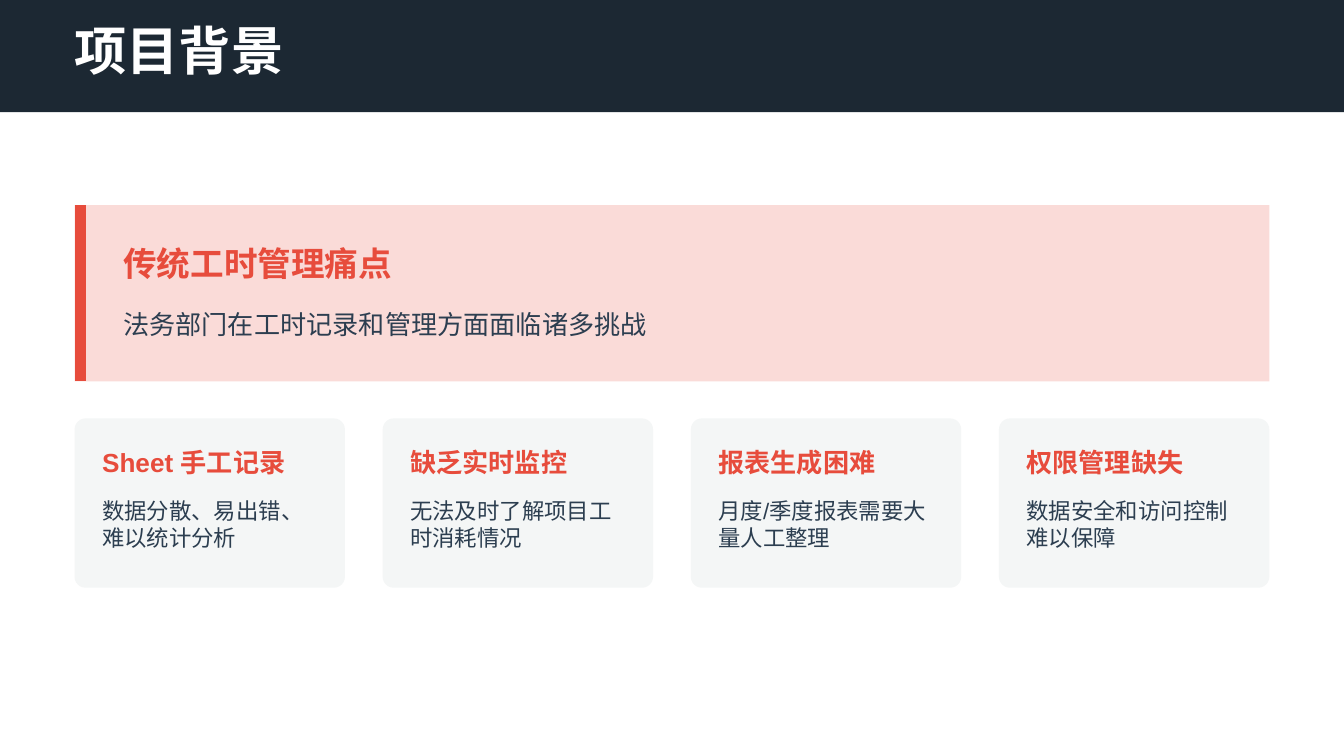
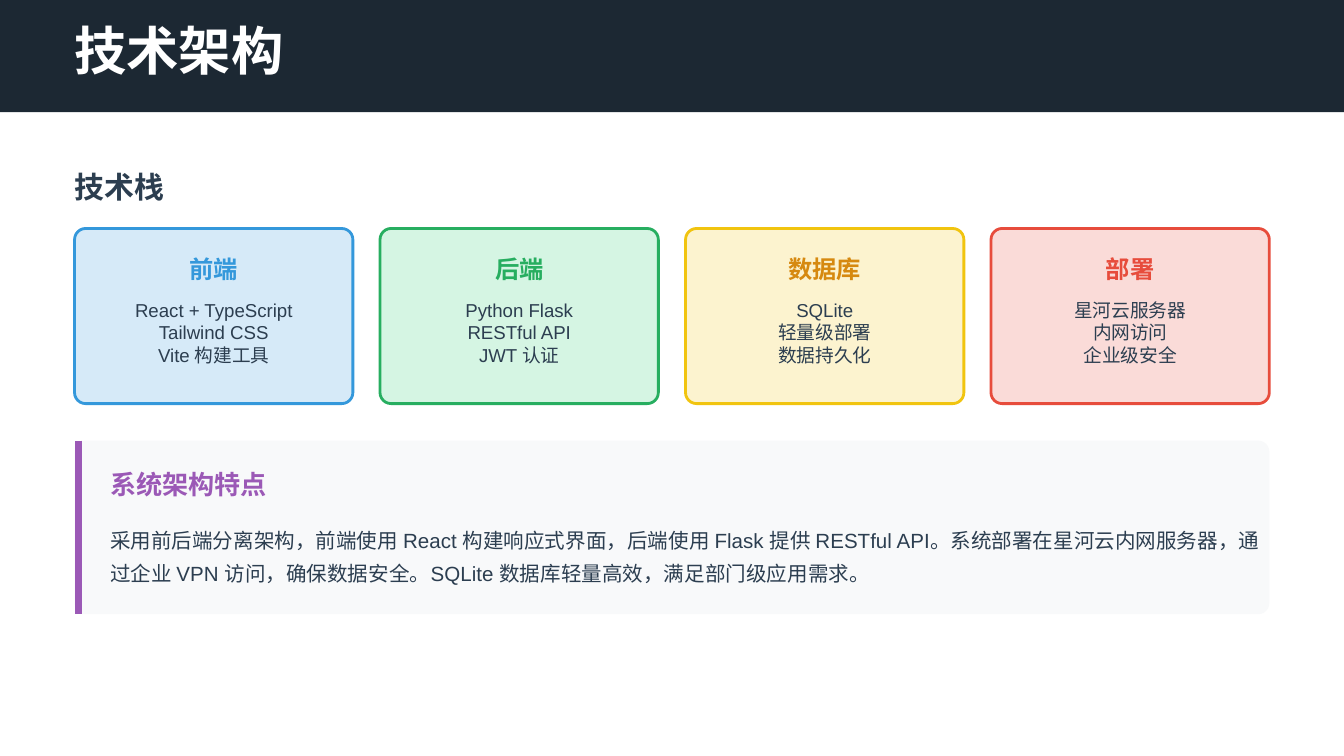
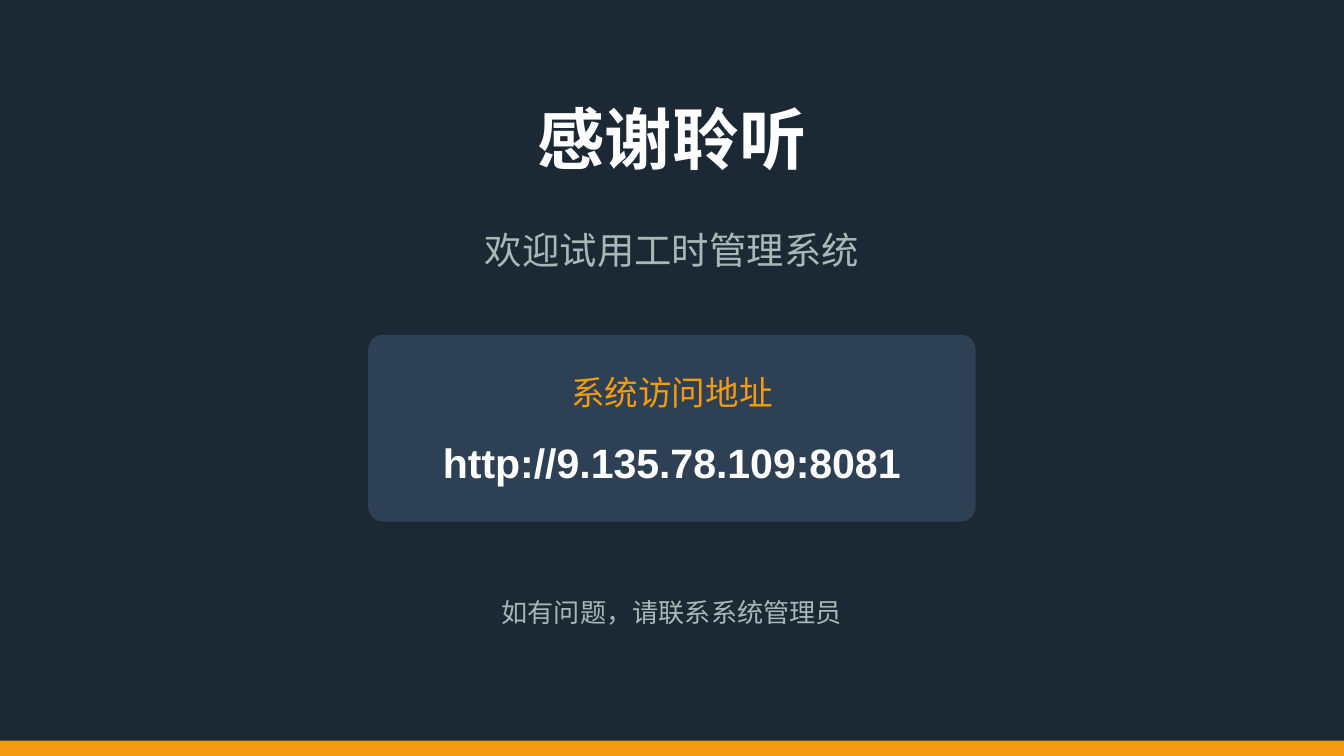
from collections import namedtuple

from lxml import etree
from pptx import Presentation
from pptx.dml.color import RGBColor
from pptx.enum import shapes, text
from pptx.oxml.ns import qn
from pptx.util import Cm, Pt

Box = namedtuple("Box", "x y w h")
Font = namedtuple("Font", "size color bold", defaults=(False,))
Pad = namedtuple("Pad", "left top right")

FONT = "Arial"
NAVY, INK, WHITE, GREY = "1C2833", "2C3E50", "FFFFFF", "AAB7B8"
RED, PINK, ORANGE, PURPLE = "E74C3C", "FADBD8", "F39C12", "9B59B6"
SLIDE_W, SLIDE_H = 25.4, 14.29
MARGIN = 1.41
CONTENT_W = SLIDE_W - 2 * MARGIN
LEFT, CENTER = text.PP_ALIGN.LEFT, text.PP_ALIGN.CENTER
RADIUS = 0.21


def rgb(color):
    return RGBColor.from_string(color)


def line_height(size):
    """Height in cm of one line of Chinese text."""
    return 0.049 * size


def place(sp, box):
    sp.left, sp.top, sp.width, sp.height = (Cm(v) for v in box)


def write(sp, lines, font, align=LEFT, spacing=None):
    tf = sp.text_frame
    tf.word_wrap = True
    tf.auto_size = text.MSO_AUTO_SIZE.NONE
    tf.vertical_anchor = text.MSO_ANCHOR.TOP
    tf.margin_left = tf.margin_top = tf.margin_right = tf.margin_bottom = 0
    for i, line in enumerate(lines):
        p = tf.add_paragraph() if i else tf.paragraphs[0]
        p.alignment = align
        p.space_before = p.space_after = Pt(0)
        if spacing:
            p.line_spacing = Pt(spacing)
        r = p.add_run()
        r.text = line
        r.font.name = FONT
        r.font.size = Pt(font.size)
        r.font.bold = font.bold
        r.font.color.rgb = rgb(font.color)


def add_text(s, box, lines, font, align=LEFT, spacing=None):
    sp = s.shapes.add_textbox(*(Cm(v) for v in box))
    write(sp, lines, font, align, spacing)


def fill_placeholder(sp, box, line, font, align=LEFT):
    place(sp, box)
    write(sp, [line], font, align)


def add_block(s, box, fill, line=None, radius=0):
    kind = shapes.MSO_SHAPE.ROUNDED_RECTANGLE if radius else shapes.MSO_SHAPE.RECTANGLE
    sp = s.shapes.add_shape(kind, *(Cm(v) for v in box))
    sp.shadow.inherit = False
    sp.fill.solid()
    sp.fill.fore_color.rgb = rgb(fill)
    if radius:
        sp.adjustments[0] = radius / min(box.w, box.h)
    if line:
        sp.line.color.rgb = rgb(line)
        sp.line.width = Pt(1.5)
    else:
        sp.line.fill.background()
    return sp


def add_accent(s, box, color, width):
    """Thick line along the inside of the box's left edge."""
    x = Cm(box.x) + Pt(width) // 2
    c = s.shapes.add_connector(shapes.MSO_CONNECTOR.STRAIGHT, x, Cm(box.y), x, Cm(box.y + box.h))
    c.line.color.rgb = rgb(color)
    c.line.width = Pt(width)
    etree.SubElement(c._element.spPr, qn("a:effectLst"))


def add_panel_text(s, box, pad, heading, heading_font, gap, lines, font,
                   align=LEFT, spacing=None):
    """Heading with body lines below it, inset from the panel's box."""
    x, y, w = box.x + pad.left, box.y + pad.top, box.w - pad.left - pad.right
    h = line_height(heading_font.size)
    add_text(s, Box(x, y, w, h), [heading], heading_font, align)
    offset = h + gap
    add_text(s, Box(x, y + offset, w, box.h - 2 * pad.top - offset),
             lines, font, align, spacing)


def columns(box, count, width):
    """Equal boxes spread across the given box."""
    step = (box.w - width) / (count - 1)
    return [Box(box.x + i * step, box.y, width, box.h) for i in range(count)]


def add_content_slide(prs, title):
    s = prs.slides.add_slide(prs.slide_layouts[5])
    band = add_block(s, Box(0, 0, SLIDE_W, 2.12), NAVY)
    s.shapes._spTree.insert(2, band._element)
    fill_placeholder(s.shapes.title, Box(MARGIN, 0.35, 4.04, 1.4), title,
                     Font(28, WHITE, True))
    return s


def add_pain_callout(s, box):
    add_block(s, box, PINK)
    add_accent(s, box, RED, 6)
    add_panel_text(s, box, Pad(0.92, 0.71, 0.27), "传统工时管理痛点", Font(18, RED, True), 0.35,
                   ["法务部门在工时记录和管理方面面临诸多挑战"], Font(14, INK))


def add_pain_cards(s, box):
    cards = [
        ("Sheet 手工记录", "数据分散、易出错、难以统计分析"),
        ("缺乏实时监控", "无法及时了解项目工时消耗情况"),
        ("报表生成困难", "月度/季度报表需要大量人工整理"),
        ("权限管理缺失", "数据安全和访问控制难以保障"),
    ]
    for card, (heading, detail) in zip(columns(box, len(cards), 5.11), cards):
        add_block(s, card, "F4F6F6", radius=RADIUS)
        add_panel_text(s, card, Pad(0.52, 0.53, 0.45), heading, Font(14, RED, True), 0.28,
                       [detail], Font(12, INK))


def add_stack_cards(s, box):
    stack = [
        ("前端", "D6EAF8", "3498DB", "3498DB",
         ["React + TypeScript", "Tailwind CSS", "Vite 构建工具"]),
        ("后端", "D5F5E3", "27AE60", "27AE60", ["Python Flask", "RESTful API", "JWT 认证"]),
        ("数据库", "FCF3CF", "F1C40F", "D68910", ["SQLite", "轻量级部署", "数据持久化"]),
        ("部署", PINK, RED, RED, ["星河云服务器", "内网访问", "企业级安全"]),
    ]
    for card, (heading, fill, line, color, items) in zip(columns(box, len(stack), 5.26), stack):
        add_block(s, card, fill, line, RADIUS)
        add_panel_text(s, card, Pad(0.44, 0.48, 0.44), heading, Font(13, color, True), 0.21,
                       items, Font(10, INK), CENTER)


def add_feature_callout(s, box):
    add_block(s, box, "F8F9FA", radius=RADIUS)
    add_accent(s, box, PURPLE, 3.75)
    detail = ("采用前后端分离架构，前端使用 React 构建响应式界面，后端使用 Flask 提供 RESTful API。"
              "系统部署在星河云内网服务器，通过企业 VPN 访问，确保数据安全。"
              "SQLite 数据库轻量高效，满足部门级应用需求。")
    add_panel_text(s, box, Pad(0.67, 0.53, 0.09), "系统架构特点", Font(14, PURPLE, True), 0.28,
                   [detail], Font(11, INK), spacing=17.6)


def add_address_card(s, box):
    add_block(s, box, "2E4053", radius=0.28)
    add_panel_text(s, box, Pad(1.32, 0.71, 1.32), "系统访问地址", Font(18, ORANGE), 0.35,
                   ["http://9.135.78.109:8081"], Font(22, WHITE, True), CENTER)


def build_background(prs):
    s = add_content_slide(prs, "项目背景")
    add_pain_callout(s, Box(MARGIN, 3.88, CONTENT_W, 3.33))
    add_pain_cards(s, Box(MARGIN, 7.91, CONTENT_W, 3.2))


def build_architecture(prs):
    s = add_content_slide(prs, "技术架构")
    add_text(s, Box(MARGIN, 3.18, 23.04, line_height(16)), ["技术栈"], Font(16, INK, True))
    add_stack_cards(s, Box(MARGIN, 4.32, CONTENT_W, 3.31))
    add_feature_callout(s, Box(MARGIN, 8.33, CONTENT_W, 3.28))


def build_closing(prs):
    s = prs.slides.add_slide(prs.slide_layouts[0])
    s.background.fill.solid()
    s.background.fill.fore_color.rgb = rgb(NAVY)
    fill_placeholder(s.shapes.title, Box(10.11, 1.83, 5.18, 1.78), "感谢聆听",
                     Font(36, WHITE, True), CENTER)
    fill_placeholder(s.placeholders[1], Box(9.1, 4.29, 7.2, 0.99), "欢迎试用工时管理系统",
                     Font(20, GREY), CENTER)
    add_address_card(s, Box(6.96, 6.33, 11.48, 3.53))
    add_text(s, Box(9.42, 11.28, 6.56, line_height(14)), ["如有问题，请联系系统管理员"],
             Font(14, GREY), CENTER)
    add_block(s, Box(0, 14, SLIDE_W, SLIDE_H - 14), ORANGE)


def main():
    prs = Presentation()
    prs.slide_width, prs.slide_height = Cm(SLIDE_W), Cm(SLIDE_H)
    build_background(prs)
    build_architecture(prs)
    build_closing(prs)
    prs.save("out.pptx")


if __name__ == "__main__":
    main()
